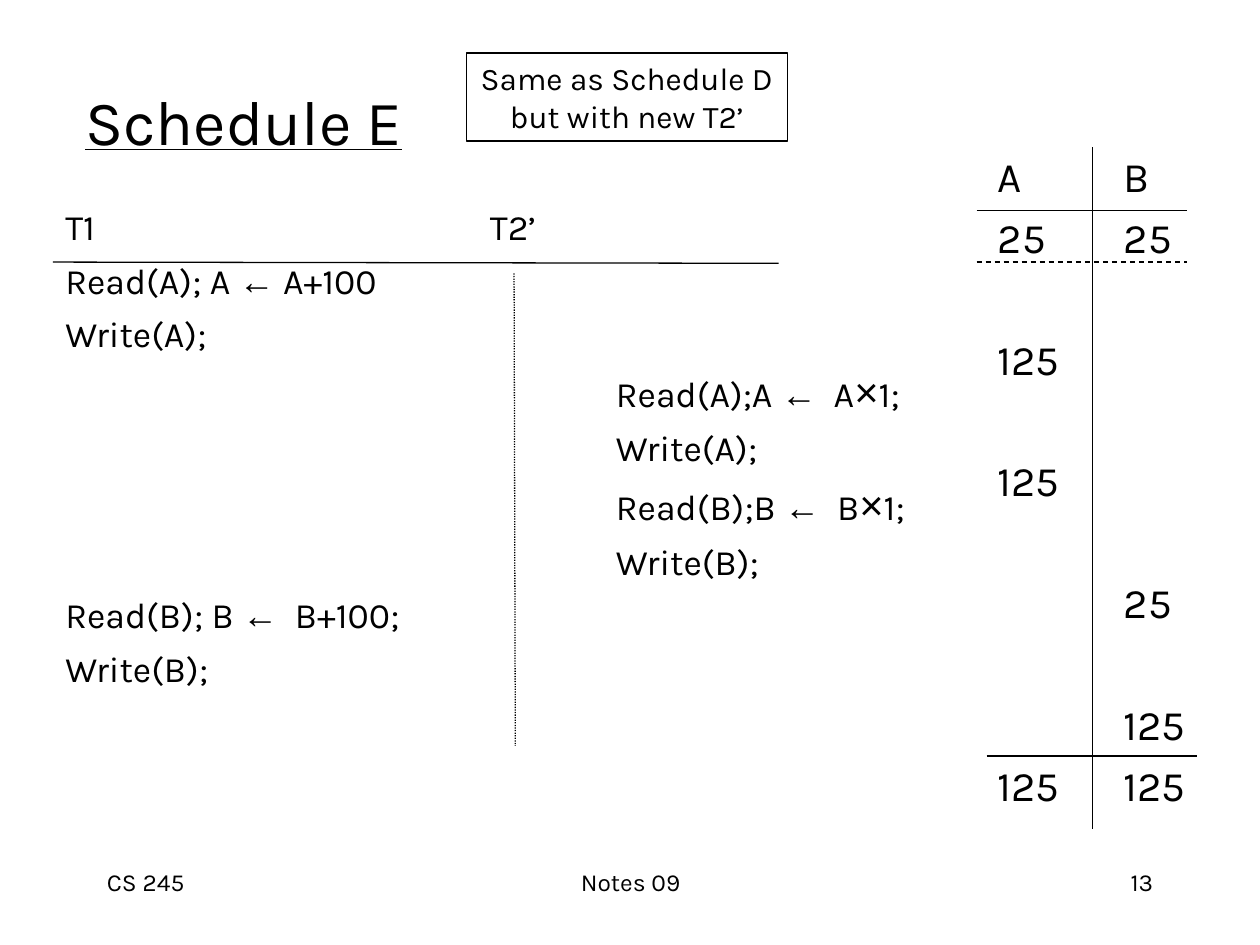
from itertools import groupby

from pptx import Presentation
from pptx.dml.color import RGBColor
from pptx.enum.dml import MSO_LINE
from pptx.enum.shapes import MSO_CONNECTOR, MSO_SHAPE
from pptx.enum.text import MSO_ANCHOR, PP_ALIGN
from pptx.oxml.ns import qn
from pptx.util import Inches, Pt

WIDE, HIGH = 10, 7.5
INK = "000000"
BODY, CELL = 20.4, 24
GAP = 6
SKIP = 2 * GAP + 1.2 * CELL  # space before a value that leaves one row free
SIGNS = {"←": BODY, "×": 23.8}

# Each line is (text, space before in points)
STEPS = [(text, GAP) for text in (
    "T1\tT2’",
    "Read(A); A ← A+100",
    "Write(A);",
    "\t\tRead(A);A ←  A×1;",
    "\t\tWrite(A);",
    "\t\tRead(B);B ←  B×1;",
    "\t\tWrite(B);",
    "Read(B); B ←  B+100;",
    "Write(B);",
)]
STATE = [("A\tB", GAP), ("25\t25", GAP), ("125", SKIP), ("125", SKIP),
         ("\t25", SKIP), ("\t125", SKIP), ("125\t125", GAP)]
NOTE = [("Same as Schedule D", 0), ("but with new T2’", 0)]

RULES = [  # start, end, dash
    ((0.42, 2.08), (6.18, 2.09), None),
    ((4.08, 2.17), (4.09, 5.92), MSO_LINE.ROUND_DOT),
    ((7.75, 1.67), (9.42, 1.67), None),
    ((7.75, 2.08), (9.42, 2.08), MSO_LINE.DASH),
    ((8.67, 1.17), (8.67, 6.58), None),
    ((7.83, 6), (9.5, 6), None),
]
FOOT = [  # text, left, width, align
    ("CS 245", 0.75, 2.08, PP_ALIGN.LEFT),
    ("Notes 09", 3.42, 3.17, PP_ALIGN.CENTER),
    ("13", 7.17, 2.08, PP_ALIGN.RIGHT),
]


def ink(code):
    return RGBColor.from_string(code)


def set_all(item, form):
    for name, value in form.items():
        setattr(item, name, value)


def add_tabs(para, stops):
    """Set left tab stops, given in inches from the text edge."""
    tabs = para._p.get_or_add_pPr().makeelement(qn("a:tabLst"), {})
    for stop in stops:
        tab = tabs.makeelement(qn("a:tab"), {"pos": str(Inches(stop)), "algn": "l"})
        tabs.append(tab)
    para._p.get_or_add_pPr().append(tabs)


def add_runs(para, text, size, under):
    """Split the text so that arrows and signs get their own font."""
    for sign, part in groupby(text, lambda c: c if c in SIGNS else ""):
        run = para.add_run()
        run.text = "".join(part)
        set_all(run.font, {
            "name": "Arial" if sign else "Karla",
            "size": Pt(SIGNS.get(sign, size)),
            "underline": under,
        })
        run.font.color.rgb = ink(INK)


def fill_text(shape, lines, size, align=PP_ALIGN.LEFT, anchor=MSO_ANCHOR.TOP,
              stops=(), under=None, wrap=True):
    frame = shape.text_frame
    set_all(frame, {"word_wrap": wrap, "vertical_anchor": anchor})
    for i, (text, space) in enumerate(lines):
        para = frame.add_paragraph() if i else frame.paragraphs[0]
        if stops:
            add_tabs(para, stops)
        set_all(para, {"alignment": align, "space_before": Pt(space if i else 0)})
        add_runs(para, text, size, under)


def add_text(slide, place, lines, size, **form):
    box = slide.shapes.add_textbox(*map(Inches, place))
    fill_text(box, lines, size, **form)


def add_note(slide, place, lines):
    box = slide.shapes.add_shape(MSO_SHAPE.RECTANGLE, *map(Inches, place))
    box.shadow.inherit = False
    box.fill.background()
    box.line.color.rgb = ink(INK)
    box.line.width = Pt(0.75)
    fill_text(box, lines, 18, align=PP_ALIGN.CENTER, anchor=MSO_ANCHOR.MIDDLE,
              wrap=False)


def add_rule(slide, start, end, dash):
    rule = slide.shapes.add_connector(
        MSO_CONNECTOR.STRAIGHT, *map(Inches, start + end))
    rule.line.color.rgb = ink(INK)
    set_all(rule.line, {"width": Pt(0.75), "dash_style": dash})
    props = rule._element.spPr
    props.append(props.makeelement(qn("a:effectLst"), {}))


def main():
    deck = Presentation()
    set_all(deck, {"slide_width": Inches(WIDE), "slide_height": Inches(HIGH)})
    slide = deck.slides.add_slide(deck.slide_layouts[6])

    for text, left, width, align in FOOT:
        add_text(slide, (left, 6.83, width, 0.5), [(text, 0)], 14, align=align)
    add_text(slide, (0.58, 0.33, 8.5, 1.25), [("Schedule E", 0)], 36,
             anchor=MSO_ANCHOR.MIDDLE, under=True)
    add_text(slide, (0.42, 1.58, 7.17, 4.75), STEPS, BODY, stops=(3.37, 4.37))
    add_text(slide, (7.82, 1.14, 1.77, 5.34), STATE, CELL,
             anchor=MSO_ANCHOR.MIDDLE, stops=(1,), wrap=False)
    for rule in RULES:
        add_rule(slide, *rule)
    add_note(slide, (3.7, 0.42, 2.55, 0.7), NOTE)

    deck.save("out.pptx")


if __name__ == "__main__":
    main()
